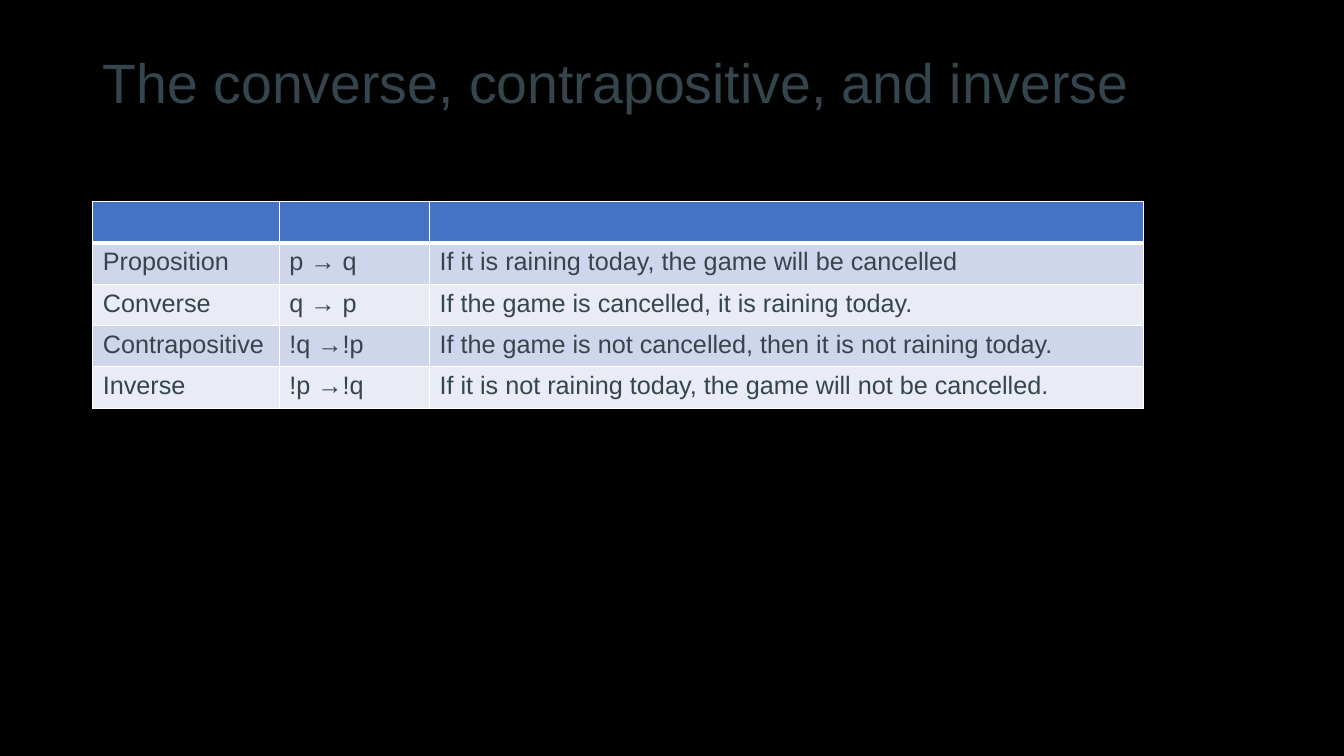
from dataclasses import dataclass

from pptx import Presentation
from pptx.dml.color import RGBColor
from pptx.enum import text
from pptx.oxml import parse_xml
from pptx.oxml.ns import nsdecls
from pptx.util import Inches, Pt


@dataclass(frozen=True)
class Theme:
    font: str = "Arial"
    background: str = "000000"
    ink: str = "35454D"
    header: str = "4472C4"
    bands: tuple = ("CFD5EA", "E9EBF5")
    border: str = "FFFFFF"
    title_size: float = 39.6
    body_size: float = 18
    thin: float = 1
    thick: float = 3


def write_text(frame, content, *, font, size, color, spacing=None):
    paragraph = frame.paragraphs[0]
    paragraph.line_spacing = spacing
    paragraph.font.size = Pt(size)
    if content:
        run = paragraph.add_run()
        run.text = content
        run.font.name = font
        run.font.size = Pt(size)
        run.font.color.rgb = RGBColor.from_string(color)


class SlideBuilder:
    def __init__(self, slide, theme):
        self.slide = slide
        self.theme = theme
        self.fill(slide.background, theme.background)

    def fill(self, target, color):
        target.fill.solid()
        target.fill.fore_color.rgb = RGBColor.from_string(color)

    def title(self, content, left, top, width, height):
        shape = self.slide.shapes.add_textbox(
            Inches(left), Inches(top), Inches(width), Inches(height))
        frame = shape.text_frame
        frame.word_wrap = True
        frame.vertical_anchor = text.MSO_ANCHOR.TOP
        frame.margin_top = Inches(0.15)
        write_text(frame, content, font=self.theme.font, size=self.theme.title_size,
                   color=self.theme.ink, spacing=0.9)

    def borders(self, cell, top, bottom):
        thin = self.theme.thin
        properties = cell._tc.get_or_add_tcPr()
        sides = {"lnL": thin, "lnR": thin, "lnT": top, "lnB": bottom}
        for index, (side, width) in enumerate(sides.items()):
            properties.insert(index, parse_xml(
                f'<a:{side} {nsdecls("a")} w="{Pt(width)}"><a:solidFill>'
                f'<a:srgbClr val="{self.theme.border}"/></a:solidFill></a:{side}>'))

    def table(self, rows, left, top, widths, row_height):
        theme = self.theme
        shape = self.slide.shapes.add_table(
            len(rows), len(widths), Inches(left), Inches(top),
            Inches(sum(widths)), Inches(row_height * len(rows)))
        table = shape.table
        for column, width in zip(table.columns, widths):
            column.width = Inches(width)
        for index, (row, values) in enumerate(zip(table.rows, rows)):
            row.height = Inches(row_height)
            color = theme.bands[(index - 1) % 2] if index else theme.header
            for cell, value in zip(row.cells, values):
                write_text(cell.text_frame, value, font=theme.font,
                           size=theme.body_size, color=theme.ink)
                self.fill(cell, color)
                self.borders(cell,
                             top=theme.thick if index == 1 else theme.thin,
                             bottom=theme.thick if index == 0 else theme.thin)


def main():
    presentation = Presentation()
    presentation.slide_width = Inches(13.33)
    presentation.slide_height = Inches(7.5)
    slide = presentation.slides.add_slide(presentation.slide_layouts[6])
    builder = SlideBuilder(slide, Theme())
    builder.title("The converse, contrapositive, and inverse", 0.92, 0.4, 11.5, 1.45)
    statements = [
        ("", "", ""),
        ("Proposition", "p → q", "If it is raining today, the game will be cancelled"),
        ("Converse", "q → p", "If the game is cancelled, it is raining today."),
        ("Contrapositive", "!q →!p",
         "If the game is not cancelled, then it is not raining today."),
        ("Inverse", "!p →!q",
         "If it is not raining today, the game will not be cancelled."),
    ]
    builder.table(statements, 0.92, 2, widths=(1.85, 1.49, 7.08), row_height=0.41)
    presentation.save("out.pptx")


if __name__ == "__main__":
    main()
